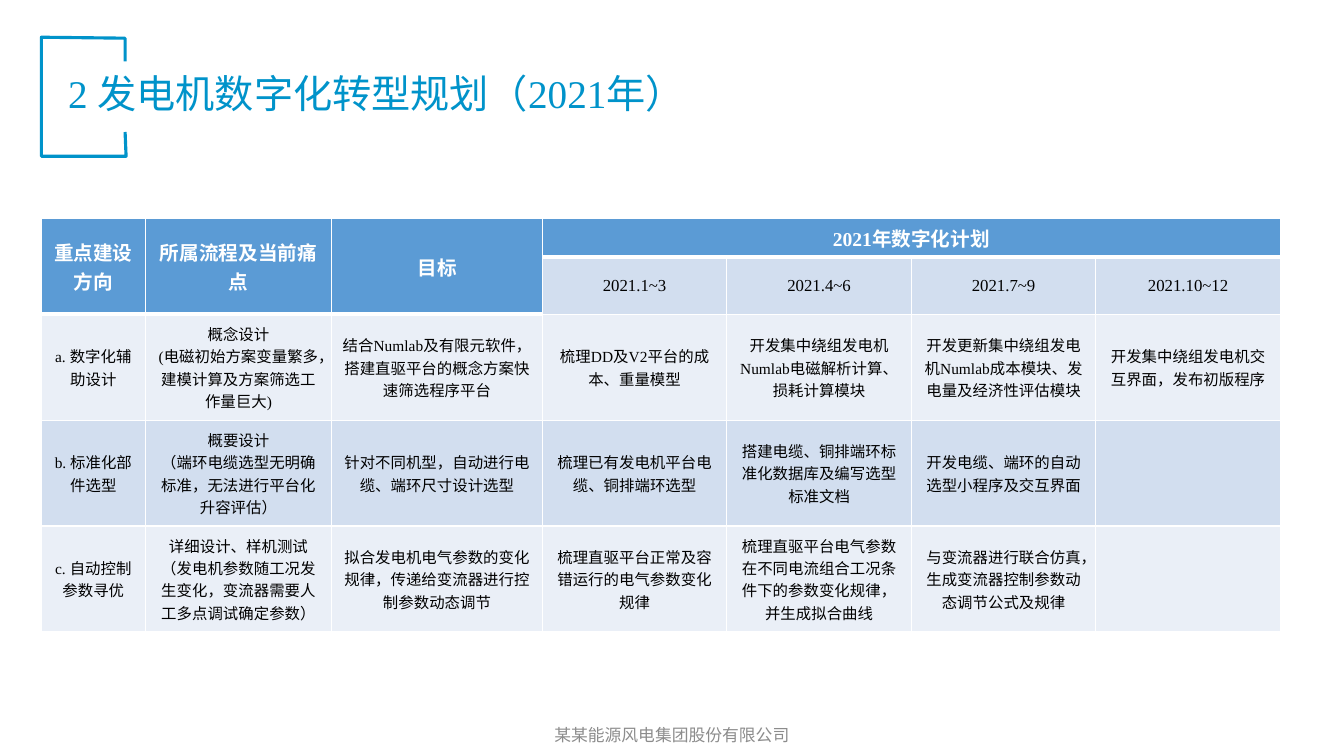
from lxml.etree import SubElement
from pptx import Presentation
from pptx.dml.color import RGBColor
from pptx.enum.text import MSO_ANCHOR, PP_ALIGN
from pptx.oxml.ns import qn
from pptx.util import Pt

ACCENT = RGBColor(0x00, 0x93, 0xCA)
HEADER = RGBColor(0x5B, 0x9B, 0xD5)
BAND_DARK = RGBColor(0xD2, 0xDE, 0xEF)
BAND_LIGHT = RGBColor(0xEA, 0xEF, 0xF7)
GRAY = RGBColor(0x8C, 0x8C, 0x8C)
WHITE = RGBColor(0xFF, 0xFF, 0xFF)
BLACK = RGBColor(0x00, 0x00, 0x00)
SERIF = "Times New Roman"
SANS = "Noto Sans CJK SC"

TITLE_FORMAT = {"size": Pt(28), "name": SERIF}
FOOTER_FORMAT = {"size": Pt(12), "name": SANS}
HEADER_FORMAT = {"size": Pt(14), "name": SERIF, "bold": True}
PERIOD_FORMAT = {"size": Pt(12), "name": SERIF, "bold": False}
BODY_FORMAT = {"size": Pt(11), "name": SERIF, "bold": False}

COLUMN_WIDTHS = [74.2, 133.2, 150.5] + [131.8] * 4
ROW_HEIGHTS = [27.4, 40] + [75.6] * 3
FIRST_PERIOD = 3  # column where the quarterly plan starts
HEADINGS = ["重点建设方向", "所属流程及当前痛点", "目标", "2021年数字化计划"]
PERIODS = ["2021.1~3", "2021.4~6", "2021.7~9", "2021.10~12"]
PLAN = [
    ["a. 数字化辅助设计",
     "概念设计\n(电磁初始方案变量繁多，建模计算及方案筛选工作量巨大)",
     "结合Numlab及有限元软件，搭建直驱平台的概念方案快速筛选程序平台",
     "梳理DD及V2平台的成本、重量模型",
     "开发集中绕组发电机Numlab电磁解析计算、损耗计算模块",
     "开发更新集中绕组发电机Numlab成本模块、发电量及经济性评估模块",
     "开发集中绕组发电机交互界面，发布初版程序"],
    ["b. 标准化部件选型",
     "概要设计\n（端环电缆选型无明确标准，无法进行平台化升容评估）",
     "针对不同机型，自动进行电缆、端环尺寸设计选型",
     "梳理已有发电机平台电缆、铜排端环选型",
     "搭建电缆、铜排端环标准化数据库及编写选型标准文档",
     "开发电缆、端环的自动选型小程序及交互界面",
     ""],
    ["c. 自动控制参数寻优",
     "详细设计、样机测试\n（发电机参数随工况发生变化，变流器需要人工多点调试确定参数）",
     "拟合发电机电气参数的变化规律，传递给变流器进行控制参数动态调节",
     "梳理直驱平台正常及容错运行的电气参数变化规律",
     "梳理直驱平台电气参数在不同电流组合工况条件下的参数变化规律，并生成拟合曲线",
     "与变流器进行联合仿真，生成变流器控制参数动态调节公式及规律",
     ""],
]


def write_text(text_frame, text, font_format, color, alignment):
    text_frame.text = text
    for paragraph in text_frame.paragraphs:
        paragraph.alignment = alignment
        for name, value in font_format.items():
            setattr(paragraph.font, name, value)
        paragraph.font.color.rgb = color
        for run in paragraph.runs:
            for name, value in font_format.items():
                setattr(run.font, name, value)
            run.font.color.rgb = color


def add_text(slide, box, text, font_format, color, alignment):
    text_frame = slide.shapes.add_textbox(*map(Pt, box)).text_frame
    text_frame.word_wrap = True
    text_frame.vertical_anchor = MSO_ANCHOR.MIDDLE
    write_text(text_frame, text, font_format, color, alignment)


def add_title(slide, left, top, width, height):
    # Open bracket frame, broken on the right where the title passes
    frame_width, gap_top, gap_bottom = 60.5, 17.3, 67.7
    points = [(frame_width - 0.7, gap_bottom), (frame_width, height), (0, height),
              (0, 0), (frame_width - 0.7, 0.7), (frame_width - 0.7, gap_top)]
    points = [(Pt(left + x), Pt(top + y)) for x, y in points]
    builder = slide.shapes.build_freeform(*points[0])
    builder.add_line_segments(points[1:], close=False)
    frame = builder.convert_to_shape()
    frame.shadow.inherit = False
    frame.fill.background()
    frame.line.color.rgb = ACCENT
    frame.line.width = Pt(2.25)
    # Title text
    add_text(slide, (left + 12, top + 19.4, width - 12, 41),
             "2 发电机数字化转型规划（2021年）", TITLE_FORMAT, ACCENT, PP_ALIGN.LEFT)


def set_borders(cell, bottom_width):
    properties = cell._tc.get_or_add_tcPr()
    widths = {"a:lnL": 1, "a:lnR": 1, "a:lnT": 1, "a:lnB": bottom_width}
    for index, (tag, width) in enumerate(widths.items()):
        line = SubElement(properties, qn(tag), w=str(Pt(width)))
        fill = SubElement(line, qn("a:solidFill"))
        SubElement(fill, qn("a:srgbClr"), val=str(WHITE))
        properties.insert(index, line)


def add_plan_table(slide, left, top):
    rows = [HEADINGS + [""] * 3, [""] * FIRST_PERIOD + PERIODS] + PLAN
    table = slide.shapes.add_table(
        len(rows), len(COLUMN_WIDTHS), Pt(left), Pt(top),
        Pt(sum(COLUMN_WIDTHS)), Pt(sum(ROW_HEIGHTS))).table
    for column, width in zip(table.columns, COLUMN_WIDTHS):
        column.width = Pt(width)
    for row, height in zip(table.rows, ROW_HEIGHTS):
        row.height = Pt(height)

    # Cell text, fills and borders
    for row_index, texts in enumerate(rows):
        for column_index, text in enumerate(texts):
            cell = table.cell(row_index, column_index)
            is_header = row_index == 0 or (row_index == 1 and column_index < FIRST_PERIOD)
            if is_header:
                fill, color, font_format = HEADER, WHITE, HEADER_FORMAT
            else:
                fill = BAND_DARK if row_index % 2 else BAND_LIGHT
                color = BLACK
                font_format = PERIOD_FORMAT if row_index == 1 else BODY_FORMAT
            cell.fill.solid()
            cell.fill.fore_color.rgb = fill
            cell.vertical_anchor = MSO_ANCHOR.MIDDLE
            write_text(cell.text_frame, text, font_format, color, PP_ALIGN.CENTER)
            set_borders(cell, 3 if is_header else 1)

    # Merged headings
    for column_index in range(FIRST_PERIOD):
        table.cell(0, column_index).merge(table.cell(1, column_index))
    plan_heading = table.cell(0, FIRST_PERIOD)
    plan_heading.vertical_anchor = MSO_ANCHOR.TOP
    plan_heading.merge(table.cell(0, len(COLUMN_WIDTHS) - 1))


def main():
    presentation = Presentation()
    presentation.slide_width, presentation.slide_height = Pt(960), Pt(540)
    slide = presentation.slides.add_slide(presentation.slide_layouts[6])
    add_title(slide, 29.6, 26.6, 569.5, 85)
    add_plan_table(slide, 29.6, 156.3)
    add_text(slide, (318, 510.5, 324, 28.8), "某某能源风电集团股份有限公司",
             FOOTER_FORMAT, GRAY, PP_ALIGN.CENTER)
    presentation.save("out.pptx")


if __name__ == "__main__":
    main()
